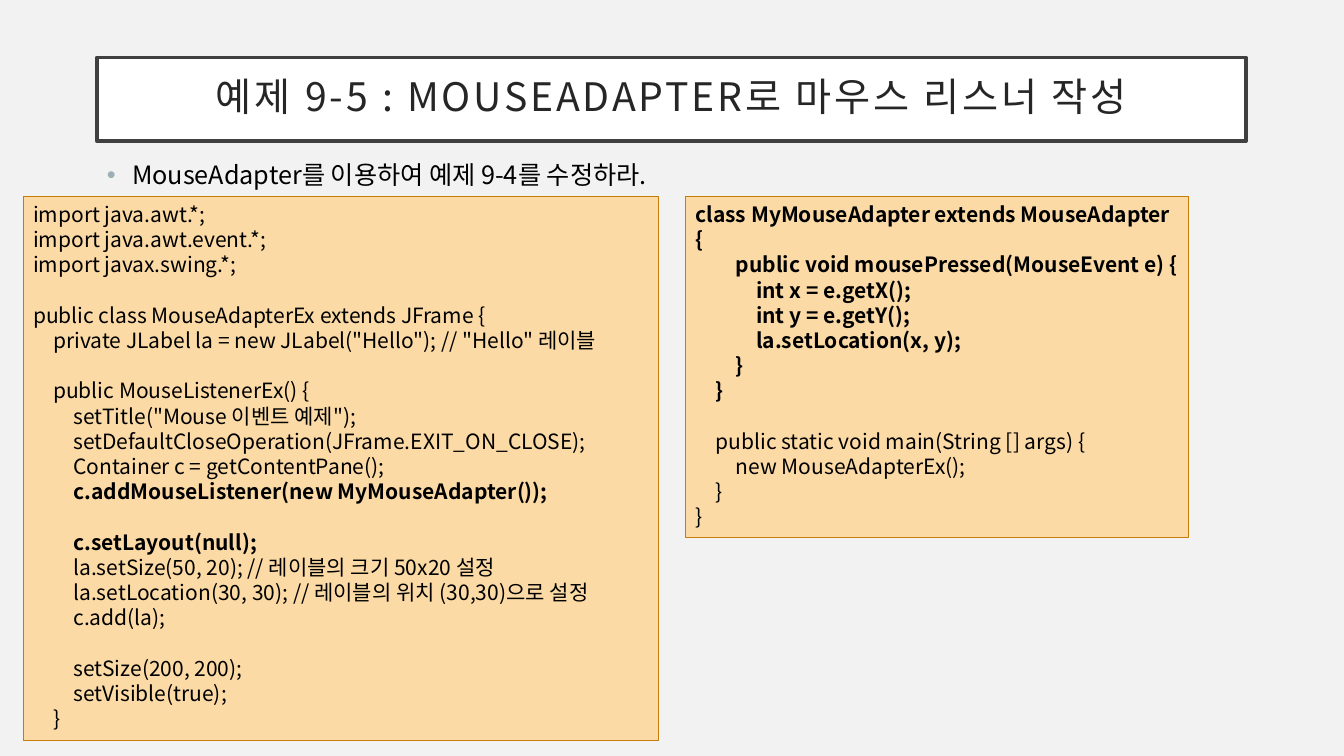
from pptx import Presentation, util as u
from pptx.dml.color import RGBColor
from pptx.enum import shapes, text
from pptx.oxml.ns import qn
from lxml import etree

WIDE, HIGH = 13.33, 7.5
FONT = "Noto Sans CJK KR"
TITLE = "예제 9-5 : MOUSEADAPTER로 마우스 리스너 작성"
TASK = "MouseAdapter를 이용하여 예제 9-4를 수정하라."

# Code lines: (tab depth, code, bold)
FRAME = [
    (0, "import java.awt.*;", False),
    (0, "import java.awt.event.*;", False),
    (0, "import javax.swing.*;", False),
    (0, "", False),
    (0, "public class MouseAdapterEx extends JFrame {", False),
    (1, 'private JLabel la = new JLabel("Hello"); // "Hello" 레이블', False),
    (0, "", False),
    (1, "public MouseListenerEx() {", False),
    (2, 'setTitle("Mouse 이벤트 예제");', False),
    (2, "setDefaultCloseOperation(JFrame.EXIT_ON_CLOSE);", False),
    (2, "Container c = getContentPane();", False),
    (2, "c.addMouseListener(new MyMouseAdapter());", True),
    (0, "", False),
    (2, "c.setLayout(null);", True),
    (2, "la.setSize(50, 20); // 레이블의 크기 50x20 설정", False),
    (2, "la.setLocation(30, 30); // 레이블의 위치 (30,30)으로 설정", False),
    (2, "c.add(la);", False),
    (0, "", False),
    (2, "setSize(200, 200);", False),
    (2, "setVisible(true);", False),
    (1, "}", False),
]
ADAPTER = [
    (0, "class MyMouseAdapter extends MouseAdapter {", True),
    (2, "public void mousePressed(MouseEvent e) {", True),
    (3, "int x = e.getX();", True),
    (3, "int y = e.getY();", True),
    (3, "la.setLocation(x, y);", True),
    (2, "}", True),
    (1, "}", True),
    (0, "", False),
    (1, "public static void main(String [] args) {", False),
    (2, "new MouseAdapterEx();", False),
    (1, "}", False),
    (0, "}", False),
]
# Code panels: left, width, height, lines
TOP = 1.95
PANELS = [(6.8, 4.99, 3.38, ADAPTER), (0.23, 6.3, 5.4, FRAME)]
TAB = 0.2


def color(hexa):
    return RGBColor.from_string(hexa)


def place(shape, left, top, wide, high):
    shape.left, shape.top = u.Inches(left), u.Inches(top)
    shape.width, shape.height = u.Inches(wide), u.Inches(high)


def paint(shape, fill, line, width):
    shape.fill.solid()
    shape.fill.fore_color.rgb = color(fill)
    shape.line.color.rgb = color(line)
    shape.line.width = u.Pt(width)


def setup(shape, anchor, side=0.1, end=0.05):
    """Set the wrapping, anchor and insets of a text frame."""
    frame = shape.text_frame
    frame.word_wrap = True
    frame.auto_size = text.MSO_AUTO_SIZE.NONE
    frame.vertical_anchor = anchor
    frame.margin_left = frame.margin_right = u.Inches(side)
    frame.margin_top = frame.margin_bottom = u.Inches(end)
    return frame


def write(par, words, size=15, ink="000000", bold=False, track=0,
          align=text.PP_ALIGN.LEFT, lead=0.9):
    par.alignment = align
    par.line_spacing = lead
    par.space_before = par.space_after = u.Pt(0)
    par.font.size = u.Pt(size)
    if not words:
        return
    run = par.add_run()
    run.text = words
    font = run.font
    font.name, font.size, font.bold = FONT, u.Pt(size), bold
    font.color.rgb = color(ink)
    props = run._r.get_or_add_rPr()
    etree.SubElement(props, qn("a:ea"), typeface=FONT)
    if track:
        props.set("spc", str(track * 100))


def bullet(par, mark, ink, hang):
    props = par._p.get_or_add_pPr()
    props.set("marL", str(u.Inches(hang)))
    props.set("indent", str(-u.Inches(hang)))
    tint = etree.SubElement(props, qn("a:buClr"))
    etree.SubElement(tint, qn("a:srgbClr"), val=ink)
    etree.SubElement(props, qn("a:buChar"), char=mark)


def stops(par, depth):
    tabs = etree.SubElement(par._p.get_or_add_pPr(), qn("a:tabLst"))
    for i in range(1, depth + 1):
        etree.SubElement(tabs, qn("a:tab"), pos=str(u.Inches(TAB * i)), algn="l")


def panel(slide, left, wide, high, lines):
    box = slide.shapes.add_shape(
        shapes.MSO_SHAPE.RECTANGLE, *map(u.Inches, (left, TOP, wide, high)))
    box.shadow.inherit = False
    paint(box, "FBDAA5", "C67D08", 0.75)
    frame = setup(box, text.MSO_ANCHOR.TOP)
    for i, (depth, code, bold) in enumerate(lines):
        par = frame.add_paragraph() if i else frame.paragraphs[0]
        if depth:
            stops(par, depth)
        write(par, "\t" * depth + code, bold=bold, lead=u.Pt(18))


def main():
    deck = Presentation()
    deck.slide_width, deck.slide_height = u.Inches(WIDE), u.Inches(HIGH)
    slide = deck.slides.add_slide(deck.slide_layouts[1])
    slide.background.fill.solid()
    slide.background.fill.fore_color.rgb = color("F2F2F2")

    title, body = slide.placeholders
    place(title, 0.96, 0.57, 11.4, 0.83)
    paint(title, "FFFFFF", "404040", 2.5)
    frame = setup(title, text.MSO_ANCHOR.MIDDLE, 0.2, 0.2)
    write(frame.paragraphs[0], TITLE, size=28, ink="262626", track=2,
          align=text.PP_ALIGN.CENTER)

    place(body, 0.96, 1.55, 11.4, 0.4)
    par = setup(body, text.MSO_ANCHOR.MIDDLE).paragraphs[0]
    bullet(par, "•", "9BAFB5", 0.25)
    write(par, TASK, size=18)

    for spot in PANELS:
        panel(slide, *spot)
    deck.save("out.pptx")


if __name__ == "__main__":
    main()
